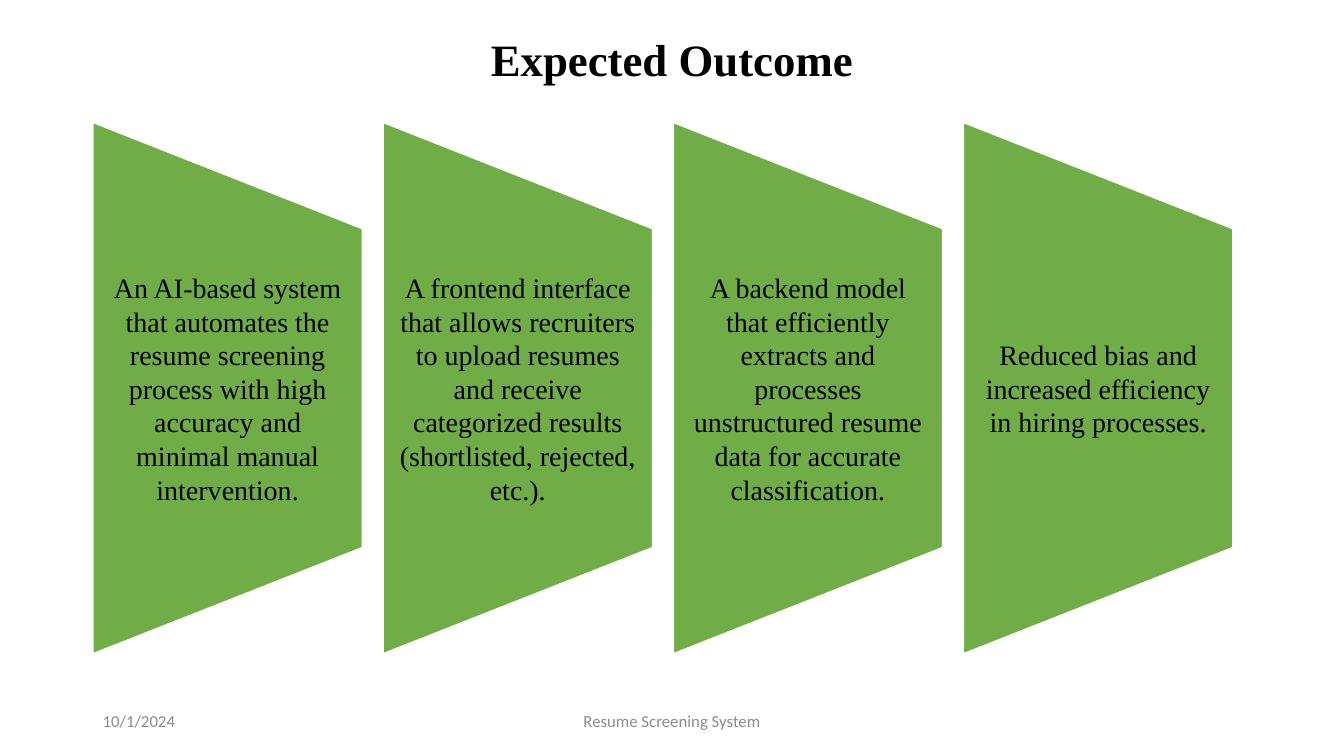
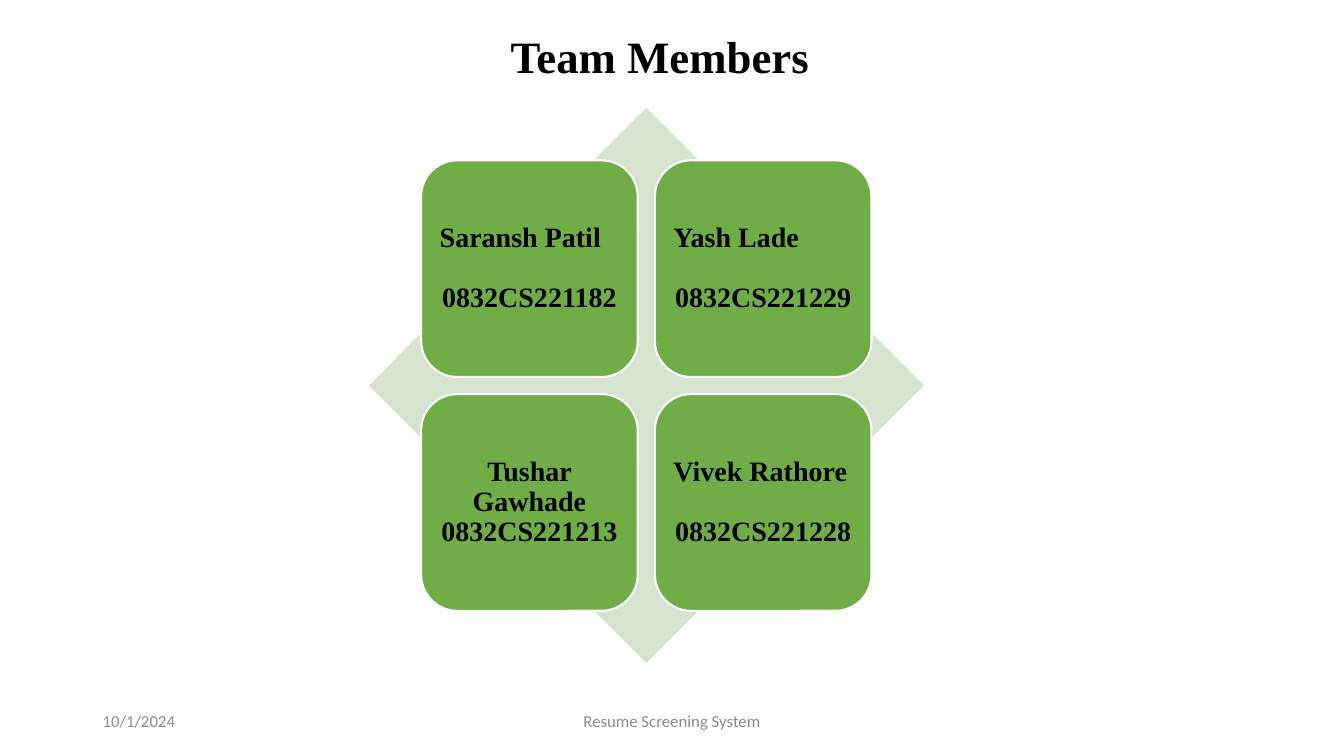
"""Build the outcome and team slides of the resume screening deck."""
import dataclasses

import pptx
import pptx.dml.color
import pptx.enum.shapes
import pptx.enum.text
import pptx.util

SHAPE = pptx.enum.shapes.MSO_SHAPE
ALIGN = pptx.enum.text.PP_ALIGN
ANCHOR = pptx.enum.text.MSO_ANCHOR
PX = 9144


@dataclasses.dataclass(frozen=True)
class Theme:
    serif: str = "Times New Roman"
    sans: str = "Calibri"
    ink: str = "000000"
    muted: str = "8C8C8C"
    green: str = "70AD47"
    pale: str = "D5E3CF"
    edge: str = "FFFFFF"
    title_size: int = 32
    body_size: int = 20
    footer_size: int = 12
    edge_width: float = 1.5


THEME = Theme()
SLIDE = (1334, 750)

OUTCOME_TITLE = ("Expected Outcome", (173, 31, 988, 60))
OUTCOMES = [
    "An AI-based system that automates the resume screening process with high accuracy and minimal manual intervention.",
    "A frontend interface that allows recruiters to upload resumes and receive categorized results (shortlisted, rejected, etc.).",
    "A backend model that efficiently extracts and processes unstructured resume data for accurate classification.",
    "Reduced bias and increased efficiency in hiring processes.",
]
PANEL = {"left": 92, "top": 121, "width": 268, "height": 528, "gap": 20}

TEAM_TITLE = ("Team Members", (155, 28, 1000, 60))
MEMBERS = [
    ("Saransh Patil", "0832CS221182", ALIGN.LEFT, 21),
    ("Yash Lade", "0832CS221229", ALIGN.LEFT, 21),
    ("Tushar Gawhade", "0832CS221213", ALIGN.CENTER, 0),
    ("Vivek Rathore", "0832CS221228", ALIGN.LEFT, 21),
]
DIAMOND = (366, 107, 551, 551)
CARD = {"size": 215, "gap": 17, "columns": 2}

FOOTERS = [
    ("10/1/2024", (92, 695, 300, 40), ALIGN.LEFT),
    ("Resume Screening System", (442, 695, 450, 40), ALIGN.CENTER),
]


def emu(*lengths):
    return [pptx.util.Emu(round(length * PX)) for length in lengths]


def rgb(value):
    return pptx.dml.color.RGBColor.from_string(value)


def add_figure(page, kind, area, fill, edge=None):
    figure = page.shapes.add_shape(kind, *emu(*area))
    figure.shadow.inherit = False
    figure.fill.solid()
    figure.fill.fore_color.rgb = rgb(fill)
    if edge:
        figure.line.color.rgb = rgb(edge)
        figure.line.width = pptx.util.Pt(THEME.edge_width)
    else:
        figure.line.fill.background()
    return figure


def add_box(page, area):
    return page.shapes.add_textbox(*emu(*area))


def set_frame(box, anchor=ANCHOR.MIDDLE, insets=(10, 5)):
    frame = box.text_frame
    frame.word_wrap = True
    frame.auto_size = pptx.enum.text.MSO_AUTO_SIZE.NONE
    frame.vertical_anchor = anchor
    frame.margin_left, frame.margin_top = emu(*insets)
    frame.margin_right, frame.margin_bottom = emu(*insets)
    return frame


def write(para, text, size, align=ALIGN.CENTER, font=THEME.serif, color=THEME.ink, bold=False):
    para.alignment = align
    span = para.add_run()
    span.text = text
    span.font.name = font
    span.font.size = pptx.util.Pt(size)
    span.font.bold = bold
    span.font.color.rgb = rgb(color)


def add_page(deck, title, area):
    page = deck.slides.add_slide(deck.slide_layouts.get_by_name("Title Only"))
    box = page.shapes.title
    box.left, box.top, box.width, box.height = emu(*area)
    para = set_frame(box, ANCHOR.BOTTOM).paragraphs[0]
    para.line_spacing = 0.9
    write(para, title, THEME.title_size, bold=True)
    for text, place, align in FOOTERS:
        para = set_frame(add_box(page, place)).paragraphs[0]
        write(para, text, THEME.footer_size, align, THEME.sans, THEME.muted)
    return page


def add_outcomes(page):
    width, height = PANEL["width"], PANEL["height"]
    turn = (height - width) / 2
    text_height = height * 3 / 5
    text_top = PANEL["top"] + height / 5
    for index, text in enumerate(OUTCOMES):
        left = PANEL["left"] + index * (width + PANEL["gap"])
        area = (left - turn, PANEL["top"] + turn, height, width)
        panel = add_figure(page, SHAPE.FLOWCHART_MANUAL_OPERATION, area, THEME.green, THEME.edge)
        panel.rotation = 270
        box = add_box(page, (left, text_top, width, text_height))
        write(set_frame(box, insets=(14, 0)).paragraphs[0], text, THEME.body_size)


def add_members(page):
    add_figure(page, SHAPE.DIAMOND, DIAMOND, THEME.pale)
    left, top, width, height = DIAMOND
    size, columns = CARD["size"], CARD["columns"]
    pitch = size + CARD["gap"]
    span = columns * pitch - CARD["gap"]
    for index, (name, number, align, gap) in enumerate(MEMBERS):
        row, column = divmod(index, columns)
        area = (left + (width - span) / 2 + column * pitch,
                top + (height - span) / 2 + row * pitch, size, size)
        card = add_figure(page, SHAPE.ROUNDED_RECTANGLE, area, THEME.green, THEME.edge)
        frame = set_frame(card, insets=(8, 8))
        name_para, number_para = frame.paragraphs[0], frame.add_paragraph()
        write(name_para, name, THEME.body_size, align, bold=True)
        write(number_para, number, THEME.body_size, bold=True)
        name_para.line_spacing = number_para.line_spacing = 0.9
        number_para.space_before = pptx.util.Pt(gap)


def main():
    deck = pptx.Presentation()
    deck.slide_width, deck.slide_height = emu(*SLIDE)
    add_outcomes(add_page(deck, *OUTCOME_TITLE))
    add_members(add_page(deck, *TEAM_TITLE))
    deck.save("out.pptx")


if __name__ == "__main__":
    main()
